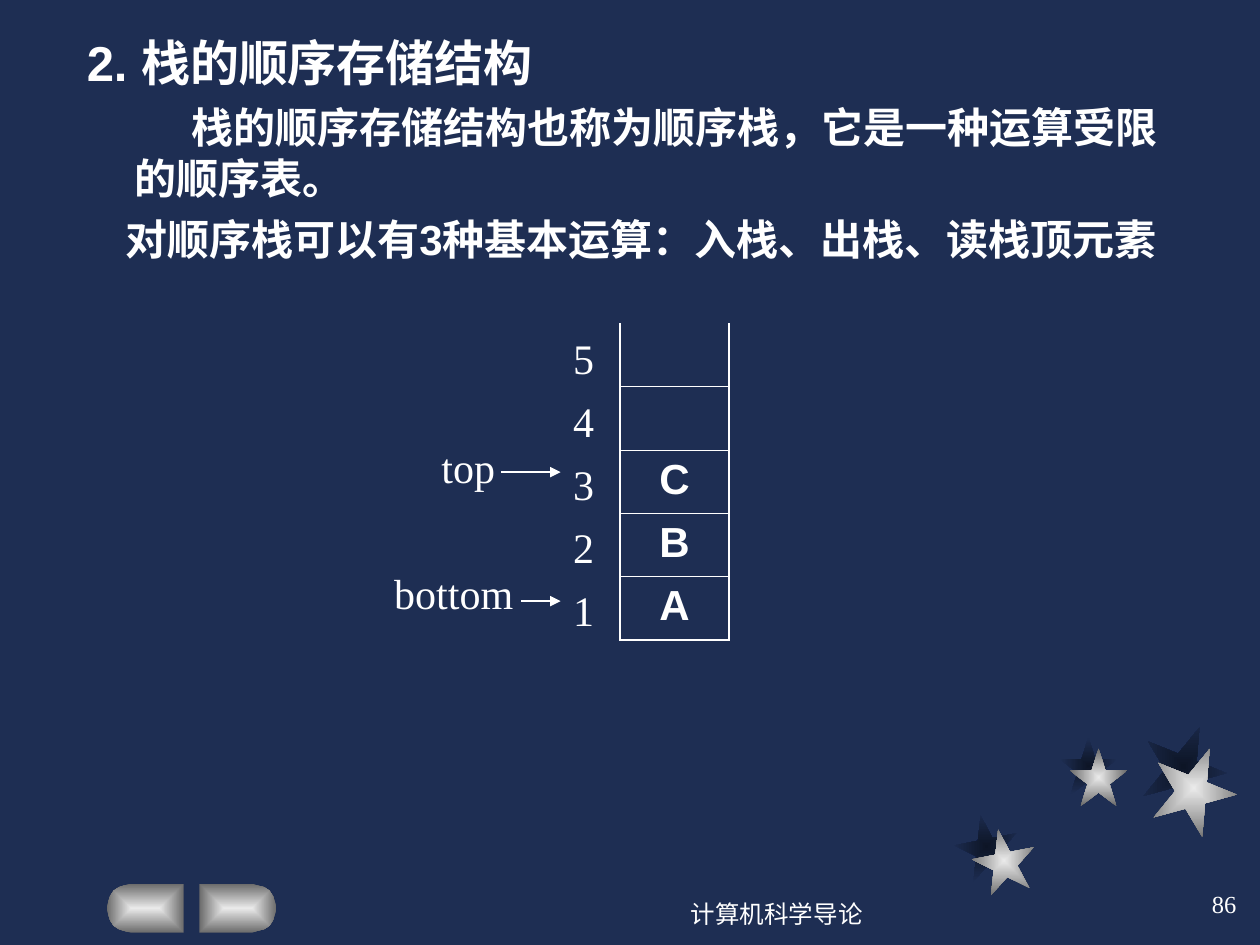
import math

import pptx
import pptx.dml.color
import pptx.enum.shapes
import pptx.enum.text
import pptx.oxml
import pptx.oxml.ns
import pptx.util

Pt = pptx.util.Pt
ALIGN = pptx.enum.text.PP_ALIGN
ANCHOR = pptx.enum.text.MSO_ANCHOR
FIT = pptx.enum.text.MSO_AUTO_SIZE
NS = pptx.oxml.ns.nsdecls("a")
WHITE = "FFFFFF"
NAVY = "1E2E53"
DARK = ("0D1526", NAVY)
SILVER = ("EAEAEA", "6B6B6B")
SERIF = "Times New Roman"


def color(code):
    return pptx.dml.color.RGBColor.from_string(code)


def style(par, size, name=SERIF, bold=False):
    font = par.font
    font.size, font.name, font.bold = Pt(size), name, bold
    font.color.rgb = color(WHITE)


def glow(shape, pair):
    """Fill from the centre outwards, with no outline."""
    shape.shadow.inherit = False
    shape.line.fill.background()
    fill = shape.fill
    fill.gradient()
    for stop, code, pos in zip(fill.gradient_stops, pair, (0, 1)):
        stop.color.rgb = color(code)
        stop.position = pos
    grad = shape._element.spPr.find(pptx.oxml.ns.qn("a:gradFill"))
    grad.remove(grad.find(pptx.oxml.ns.qn("a:lin")))
    grad.append(pptx.oxml.parse_xml(
        f'<a:path {NS} path="rect"><a:fillToRect l="50000" t="50000" '
        'r="50000" b="50000"/></a:path>'))


def star(slide, left, top, size, turn, pair):
    kind = pptx.enum.shapes.MSO_SHAPE.STAR_5_POINT
    shape = slide.shapes.add_shape(kind, Pt(left), Pt(top), Pt(size), Pt(size))
    shape.rotation = turn
    glow(shape, pair)


def button(slide, flat, side):
    """Half pill: flat edge at x = flat, round end towards side (-1 or 1)."""
    top, width, rad = 505.3, 43.8, 13.7
    hub = flat + side * (width - rad)
    arc = []
    for step in range(13):
        turn = math.pi * step / 12
        arc.append((hub + side * rad * math.sin(turn),
                    top + rad - rad * math.cos(turn)))
    build = slide.shapes.build_freeform(flat, top, scale=Pt(1))
    build.add_line_segments(arc + [(flat, top + 2 * rad)], close=True)
    glow(build.convert_to_shape(), SILVER)


def text_box(slide, box, lines, wrap=True):
    frame = slide.shapes.add_textbox(*map(Pt, box)).text_frame
    frame.word_wrap = wrap
    frame.auto_size = FIT.NONE if wrap else FIT.SHAPE_TO_FIT_TEXT
    frame.text = "\n".join(lines)
    return frame


def body(slide):
    lines = (
        ("2. 栈的顺序存储结构", 28, 27.4, -27.4, 0),
        ("栈的顺序存储结构也称为顺序栈，它是一种运算受限的顺序表。",
         24, 27.4, 32.5, 6),
        ("对顺序栈可以有3种基本运算：入栈、出栈、读栈顶元素", 24, 22, 0, 6),
    )
    frame = text_box(slide, (42.5, 15, 641, 147.5), [row[0] for row in lines])
    for par, (_, size, left, first, gap) in zip(frame.paragraphs, lines):
        props = par._p.get_or_add_pPr()
        props.set("marL", str(Pt(left)))
        props.set("indent", str(Pt(first)))
        par.space_before = Pt(gap)
        style(par, size, "Arial", True)


def label(slide, box, lines, gap=1.0):
    frame = text_box(slide, box, lines, wrap=False)
    for par in frame.paragraphs:
        par.line_spacing = gap
        style(par, 24)


def footer(slide, box, text, align):
    frame = text_box(slide, box, [text])
    frame.vertical_anchor = ANCHOR.MIDDLE
    par = frame.paragraphs[0]
    par.alignment = align
    style(par, 14)


def border(cell, widths):
    """Cell borders, given as left, right, top, bottom; 0 is none."""
    props = cell._tc.get_or_add_tcPr()
    for spot, (side, width) in enumerate(zip("LRTB", widths)):
        paint = (f'<a:solidFill><a:srgbClr val="{WHITE}"/></a:solidFill>'
                 if width else "<a:noFill/>")
        props.insert(spot, pptx.oxml.parse_xml(
            f'<a:ln{side} {NS} w="{Pt(width)}">{paint}</a:ln{side}>'))


def stack(slide, items):
    count, width, high = len(items), 62.3, 36.2
    table = slide.shapes.add_table(
        count, 1, Pt(354.3), Pt(184.7), Pt(width), Pt(high * count)).table
    table.first_row = table.horz_banding = False
    for row, item in enumerate(items):
        table.rows[row].height = Pt(high)
        cell = table.cell(row, 0)
        cell.fill.background()
        cell.text = item
        par = cell.text_frame.paragraphs[0]
        par.alignment = ALIGN.CENTER
        style(par, 24, "Arial", True)
        over = 0.45 if row else 0
        under = 0.45 if row < count - 1 else 1.08
        border(cell, (1.08, 1.08, over, under))


def arrow(slide, start, end, y):
    line = slide.shapes.add_connector(
        pptx.enum.shapes.MSO_CONNECTOR.STRAIGHT,
        Pt(start), Pt(y), Pt(end), Pt(y))
    line.line.width = Pt(1)
    line.line.color.rgb = color(WHITE)
    line.line._get_or_add_ln().append(
        pptx.oxml.parse_xml(f'<a:tailEnd {NS} type="triangle"/>'))
    line._element.spPr.append(pptx.oxml.parse_xml(f"<a:effectLst {NS}/>"))


def main():
    deck = pptx.Presentation()
    deck.slide_width, deck.slide_height = Pt(720), Pt(540)
    slide = deck.slides.add_slide(deck.slide_layouts[6])
    back = slide.background.fill
    back.solid()
    back.fore_color.rgb = color(NAVY)

    # Stars: dark ones behind, silver ones in front
    sizes = ((36, 349), (33, 0), (48.2, 22))
    for pair, spots in (
            (DARK, ((545.8, 465.8), (605.5, 421.2), (652.3, 414))),
            (SILVER, ((555.8, 473.8), (611.3, 427.7), (658.1, 426.2)))):
        for (left, top), (size, turn) in zip(spots, sizes):
            star(slide, left, top, size, turn, pair)

    # Navigation buttons
    button(slide, 105.1, -1)
    button(slide, 113.8, 1)

    # Heading and explanation
    body(slide)

    # Stack with its pointers and cell numbers
    stack(slide, ("", "", "C", "B", "A"))
    label(slide, (245.2, 248.7, 48, 36), ["top"])
    label(slide, (218.2, 320.8, 86, 36), ["bottom"])
    arrow(slide, 298, 320.4, 343.5)
    arrow(slide, 286.5, 320.4, 269.8)
    label(slide, (320.4, 179.3, 26, 187.2), list("54321"), 1.25)

    # Footer
    footer(slide, (329.8, 504, 228.2, 36), "计算机科学导论", ALIGN.CENTER)
    footer(slide, (563.8, 498.2, 149.8, 36), "86", ALIGN.RIGHT)

    deck.save("out.pptx")


if __name__ == "__main__":
    main()
